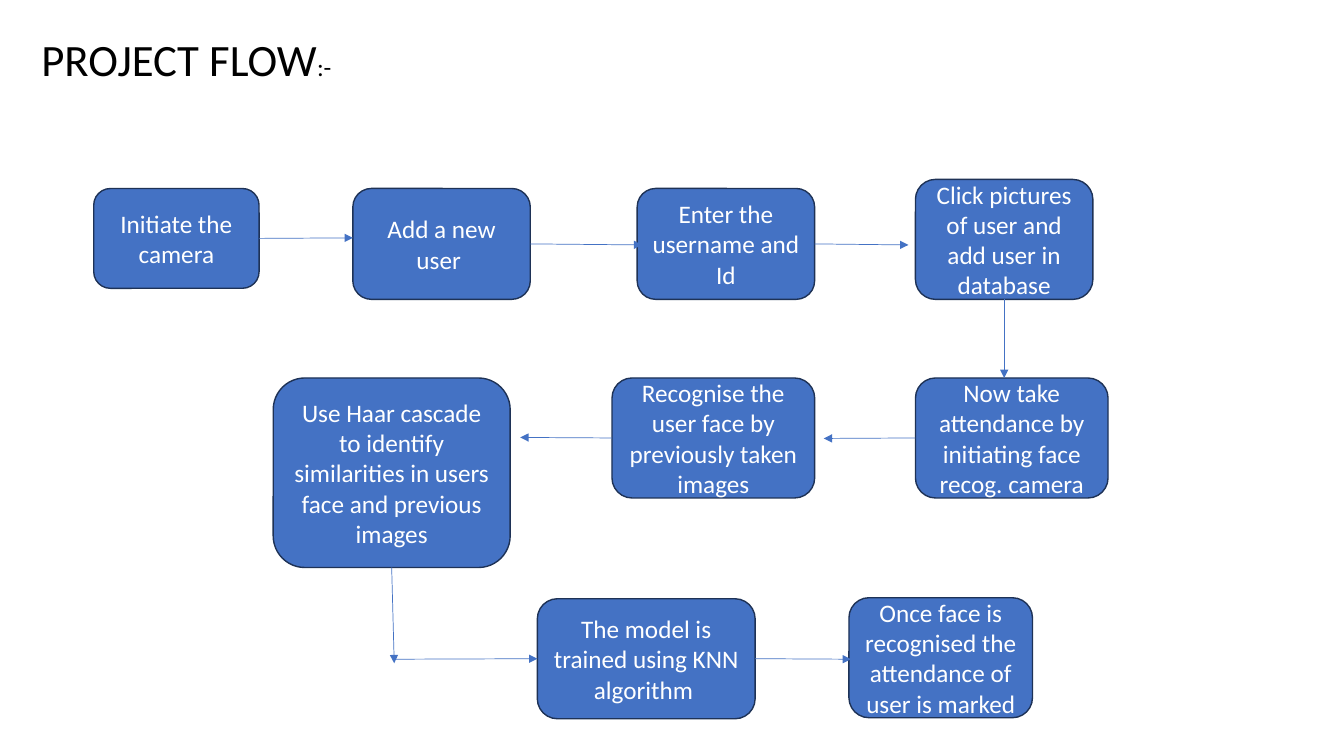
from lxml.etree import SubElement
from pptx import Presentation
from pptx.dml.color import RGBColor
from pptx.enum.shapes import MSO_CONNECTOR, MSO_SHAPE
from pptx.enum.text import MSO_ANCHOR, MSO_AUTO_SIZE, PP_ALIGN
from pptx.oxml.ns import qn
from pptx.util import Inches, Pt

BLUE = RGBColor(0x44, 0x72, 0xC4)
NAVY = RGBColor(0x1E, 0x32, 0x56)
WHITE = RGBColor(0xFF, 0xFF, 0xFF)
BLACK = RGBColor(0x00, 0x00, 0x00)
FONT = "Calibri"
TOP, LEFT, BOTTOM, RIGHT = range(4)

TITLE_RUNS = [("PROJECT FLOW", 32), (":-", 18)]
TITLE_BOX = (0.31, 0.26, 5.29, 0.64)

STEPS = {
    "initiate": ("Initiate the camera", 0.93, 1.87, 1.64, 0.99),
    "add": ("Add a new user ", 3.5, 1.87, 1.76, 1.1),
    "enter": ("Enter the username and Id", 6.32, 1.87, 1.76, 1.1),
    "click": ("Click pictures of user and add user in database", 9.08, 1.78, 1.76, 1.19),
    "attendance": ("Now take attendance by initiating face recog. camera", 9.08, 3.75, 1.91, 1.19),
    "recognise": ("Recognise the user face by previously taken images", 6.07, 3.75, 2.01, 1.19),
    "cascade": ("Use Haar cascade to identify similarities in users face and previous images",
                2.71, 3.75, 2.35, 1.88),
    "train": ("The model is trained using KNN algorithm ", 5.33, 5.94, 2.16, 1.19),
    "mark": ("Once face is recognised the attendance of user is marked", 8.42, 5.93, 1.82, 1.19),
}

# Each end is either a (step, side) joint or a free (x, y) point.
ARROWS = [
    (("initiate", RIGHT), (3.5, 2.36)),
    (("add", RIGHT), (6.37, 2.43)),
    (("enter", RIGHT), (9.01, 2.43)),
    (("click", BOTTOM), (9.96, 3.75)),
    (("attendance", LEFT), (8.17, 4.35)),
    (("recognise", LEFT), (5.16, 4.34)),
    (("cascade", BOTTOM), (3.91, 6.58)),
    ((3.93, 6.54), ("train", LEFT)),
    (("train", RIGHT), (8.44, 6.54)),
]


def style_run(run, size, color):
    run.font.name = FONT
    run.font.size = Pt(size)
    run.font.color.rgb = color


def add_title(slide):
    title = slide.shapes.title
    title.left, title.top, title.width, title.height = map(Inches, TITLE_BOX)
    frame = title.text_frame
    frame.word_wrap = True
    frame.auto_size = MSO_AUTO_SIZE.SHAPE_TO_FIT_TEXT
    frame.vertical_anchor = MSO_ANCHOR.TOP
    paragraph = frame.paragraphs[0]
    paragraph.alignment = PP_ALIGN.LEFT
    for text, size in TITLE_RUNS:
        run = paragraph.add_run()
        run.text = text
        style_run(run, size, BLACK)


def add_step(slide, text, *box):
    shape = slide.shapes.add_shape(MSO_SHAPE.ROUNDED_RECTANGLE, *map(Inches, box))
    shape.shadow.inherit = False
    shape.fill.solid()
    shape.fill.fore_color.rgb = BLUE
    shape.line.color.rgb = NAVY
    shape.line.width = Pt(1)
    frame = shape.text_frame
    frame.word_wrap = True
    frame.vertical_anchor = MSO_ANCHOR.MIDDLE
    frame.text = text
    paragraph = frame.paragraphs[0]
    paragraph.alignment = PP_ALIGN.CENTER
    style_run(paragraph.runs[0], 18, WHITE)
    return shape


def add_arrow(slide, shapes, start, end):
    points = [(0, 0) if point[0] in shapes else point for point in (start, end)]
    connector = slide.shapes.add_connector(
        MSO_CONNECTOR.STRAIGHT, *(Inches(value) for point in points for value in point))
    for point, join in ((start, connector.begin_connect), (end, connector.end_connect)):
        if point[0] in shapes:
            join(shapes[point[0]], point[1])
    connector.line.color.rgb = BLUE
    connector.line.width = Pt(0.5)
    SubElement(connector.line._get_or_add_ln(), qn("a:tailEnd"), type="triangle")
    SubElement(connector._element.spPr, qn("a:effectLst"))


def main():
    """Build the project flow slide."""
    presentation = Presentation()
    presentation.slide_width = Inches(13.33)
    presentation.slide_height = Inches(7.5)
    slide = presentation.slides.add_slide(presentation.slide_layouts[5])
    add_title(slide)
    shapes = {name: add_step(slide, *step) for name, step in STEPS.items()}
    for start, end in ARROWS:
        add_arrow(slide, shapes, start, end)
    presentation.save("out.pptx")


if __name__ == "__main__":
    main()
